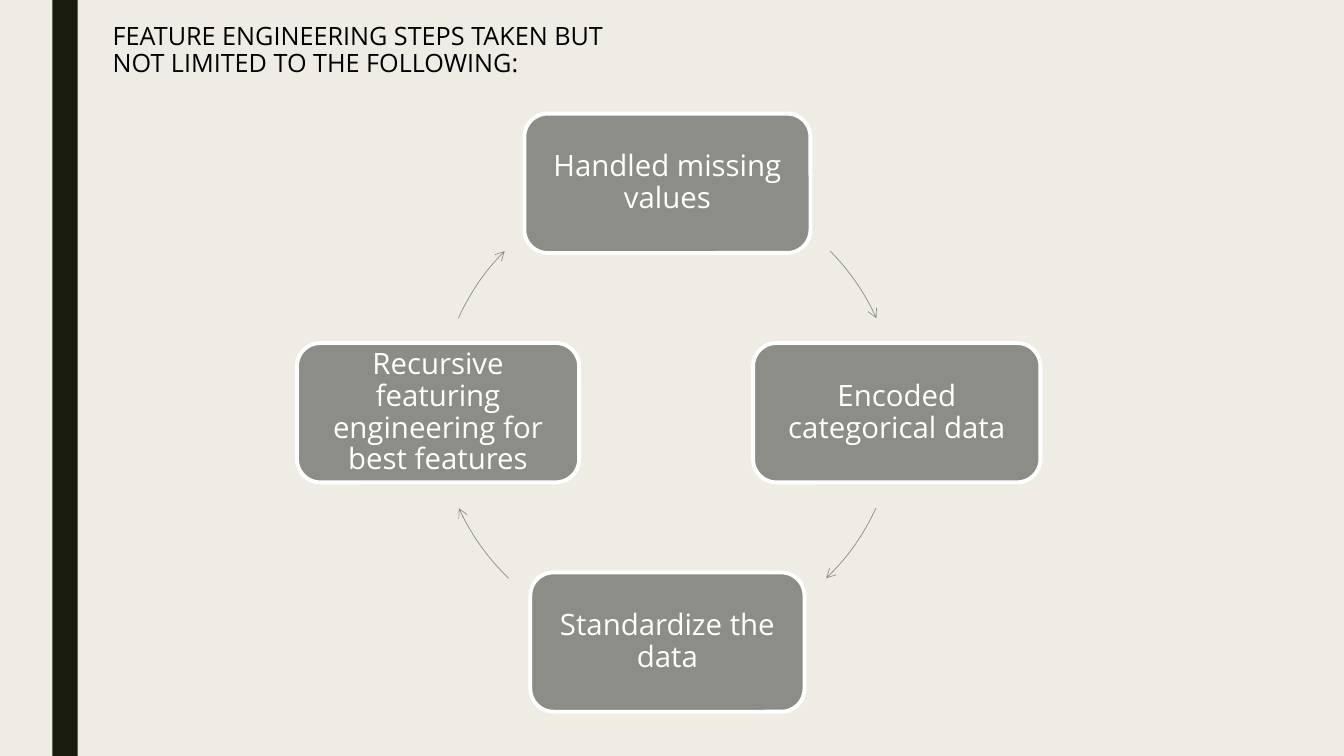
from math import cos, radians, sin

from lxml.etree import SubElement
from pptx import Presentation
from pptx.dml.color import RGBColor
from pptx.enum.shapes import MSO_SHAPE
from pptx.enum.text import MSO_ANCHOR, PP_ALIGN
from pptx.oxml.ns import qn
from pptx.util import Cm, Pt

TITLE = "FEATURE ENGINEERING STEPS TAKEN BUT NOT LIMITED TO THE FOLLOWING:"
# Clockwise from the top: step, box width in cm
STEPS = [
    ("Handled missing values", 7.21),
    ("Encoded categorical data", 7.24),
    ("Standardize the data", 6.91),
    ("Recursive featuring engineering for best features", 7.11),
]
# Start and end of each arrow, in degrees clockwise from the right
ARROW_ANGLES = [(315.2, 335.7), (24.6, 46.2), (133.8, 155.4), (204.3, 224.8)]

FONT = "Open Sans"
CREAM = RGBColor(0xEF, 0xED, 0xE3)
DARK = RGBColor(0x19, 0x1B, 0x0E)
GRAY = RGBColor(0x8C, 0x8D, 0x86)
WHITE = RGBColor(0xFF, 0xFF, 0xFF)
BLACK = RGBColor(0x00, 0x00, 0x00)

CENTER_X, CENTER_Y, RADIUS = 16.82, 10.4, 5.78
BOX_HEIGHT = 3.51
BOX_MARGIN = Cm(0.23)
ANGLE_UNIT = 0.6  # adjustment value of one degree


def add_shape(slide, kind, left, top, width, height):
    """Add a preset shape, measured in cm, without a shadow."""
    shape = slide.shapes.add_shape(kind, Cm(left), Cm(top), Cm(width), Cm(height))
    shape.shadow.inherit = False
    return shape


def write(text_frame, text, size, color, alignment):
    """Fill the frame's first paragraph with one styled run."""
    text_frame.word_wrap = True
    paragraph = text_frame.paragraphs[0]
    paragraph.alignment = alignment
    paragraph.line_spacing = 0.9
    run = paragraph.add_run()
    run.text = text
    run.font.name = FONT
    run.font.size = Pt(size)
    run.font.color.rgb = color


def add_step(slide, text, width, angle):
    """Add a rounded box centred on the cycle at the given angle."""
    left = CENTER_X + RADIUS * cos(radians(angle)) - width / 2
    top = CENTER_Y + RADIUS * sin(radians(angle)) - BOX_HEIGHT / 2
    box = add_shape(slide, MSO_SHAPE.ROUNDED_RECTANGLE, left, top, width, BOX_HEIGHT)
    box.fill.solid()
    box.fill.fore_color.rgb = GRAY
    box.line.color.rgb = WHITE
    box.line.width = Pt(2.75)
    frame = box.text_frame
    frame.margin_left = frame.margin_right = BOX_MARGIN
    frame.margin_top = frame.margin_bottom = BOX_MARGIN
    frame.vertical_anchor = MSO_ANCHOR.MIDDLE
    write(frame, text, 21, WHITE, PP_ALIGN.CENTER)


def add_arrow(slide, start, end):
    """Add a clockwise arc of the cycle with an open arrowhead at its end."""
    arc = add_shape(slide, MSO_SHAPE.ARC, CENTER_X - RADIUS, CENTER_Y - RADIUS,
                    2 * RADIUS, 2 * RADIUS)
    arc.adjustments[0] = start * ANGLE_UNIT
    arc.adjustments[1] = end * ANGLE_UNIT
    arc.fill.background()
    arc.line.color.rgb = GRAY
    arc.line.width = Pt(0.5)
    SubElement(arc.line._get_or_add_ln(), qn("a:tailEnd"), type="arrow")


presentation = Presentation()
presentation.slide_width = Cm(33.87)
presentation.slide_height = Cm(19.05)
slide = presentation.slides.add_slide(presentation.slide_layouts[6])
slide.background.fill.solid()
slide.background.fill.fore_color.rgb = CREAM

side_bar = add_shape(slide, MSO_SHAPE.RECTANGLE, 1.32, 0, 0.64, 19.05)
side_bar.fill.solid()
side_bar.fill.fore_color.rgb = DARK
side_bar.line.fill.background()

title = slide.shapes.add_textbox(Cm(2.59), Cm(0.48), Cm(13.92), Cm(1.8))
write(title.text_frame, TITLE, 18, BLACK, PP_ALIGN.LEFT)

for index, ((text, width), (start, end)) in enumerate(zip(STEPS, ARROW_ANGLES)):
    add_step(slide, text, width, index * 360 / len(STEPS) - 90)
    add_arrow(slide, start, end)

presentation.save("out.pptx")
